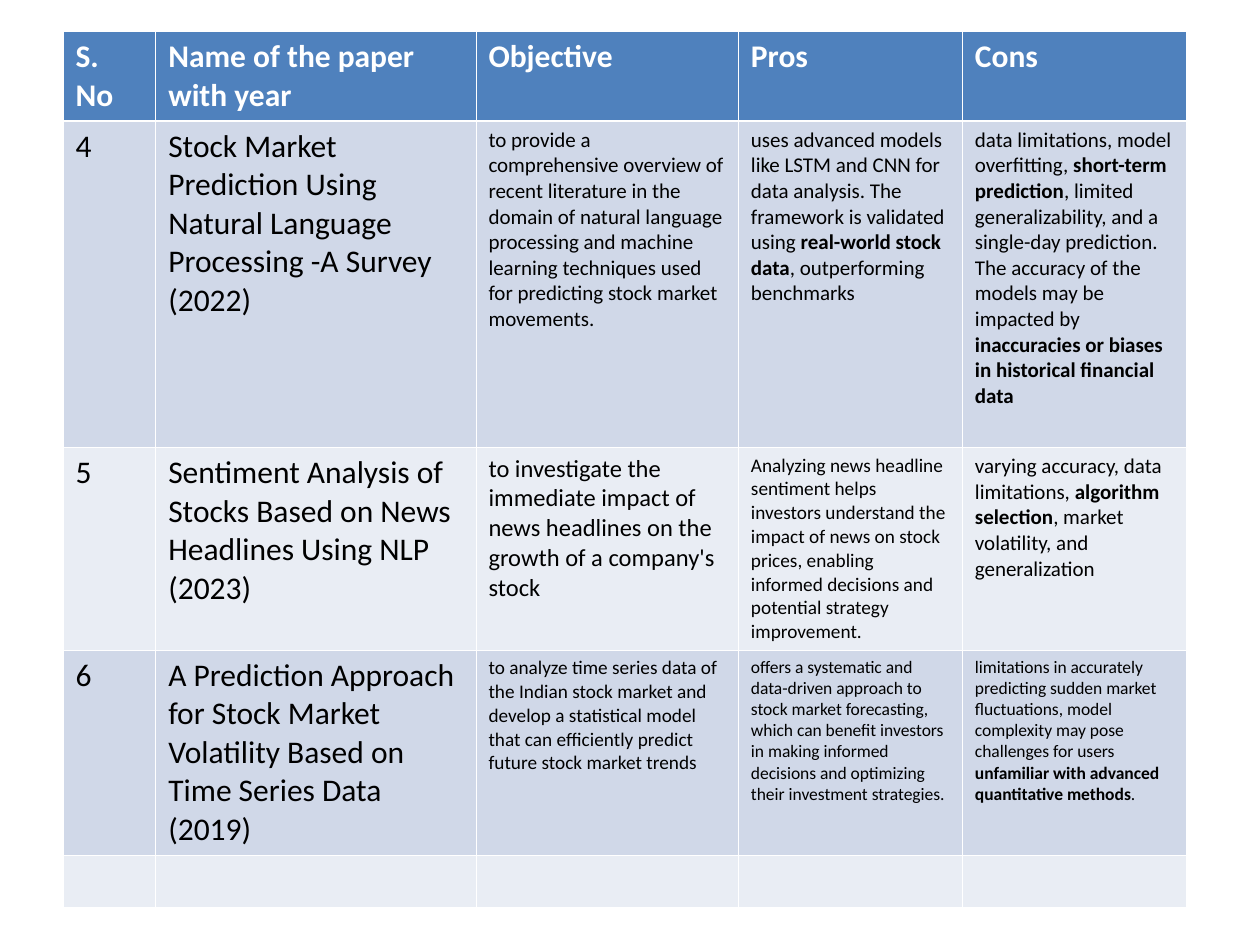
"""Build a slide with a literature survey table of stock prediction papers."""
from dataclasses import dataclass

from lxml.etree import SubElement
from pptx import Presentation
from pptx.dml.color import RGBColor as Rgb
from pptx.oxml.ns import qn
from pptx.util import Pt

COLORS = {
    "header": "4F81BD",
    "dark_band": "D0D8E8",
    "light_band": "E9EDF4",
    "border": "FFFFFF",
    "header_text": "FFFFFF",
    "body_text": "000000",
}
FONT = "Calibri"
BOLD_MARK = "**"
THIN, THICK = 0.45, 1.47
LEFT, TOP = 36, 18
COLUMN_WIDTHS = [53, 183, 150, 128, 128]


@dataclass
class SurveyRow:
    height: float
    fill: str
    texts: list[str]
    sizes: tuple[float, ...] = (18, 18, 18, 18, 18)
    header: bool = False


ROWS = [
    SurveyRow(51, "header", [
        "S. No", "Name of the paper with year", "Objective", "Pros", "Cons",
    ], header=True),
    SurveyRow(186.5, "dark_band", [
        "4",
        "Stock Market Prediction Using Natural Language Processing -A Survey (2022)",
        "to provide a comprehensive overview of recent literature in the domain of "
        "natural language processing and machine learning techniques used for "
        "predicting stock market movements.",
        "uses advanced models like LSTM and CNN for data analysis. The framework is "
        "validated using **real-world stock data**, outperforming benchmarks",
        "data limitations, model overfitting, **short-term prediction**, limited "
        "generalizability, and a single-day prediction. The accuracy of the models "
        "may be impacted by **inaccuracies or biases in historical financial data**",
    ], (18, 18, 12, 12, 12)),
    SurveyRow(115.75, "light_band", [
        "5",
        "Sentiment Analysis of Stocks Based on News Headlines Using NLP (2023)",
        "to investigate the immediate impact of news headlines on the growth of a "
        "company's stock",
        "Analyzing news headline sentiment helps investors understand the impact of "
        "news on stock prices, enabling informed decisions and potential strategy "
        "improvement.",
        "varying accuracy, data limitations, **algorithm selection**, market "
        "volatility, and generalization",
    ], (18, 18, 14, 11, 12)),
    SurveyRow(117.25, "dark_band", [
        "6",
        "A Prediction Approach for Stock Market Volatility Based on Time Series Data "
        "(2019)",
        "to analyze time series data of the Indian stock market and develop a "
        "statistical model that can efficiently predict future stock market trends",
        "offers a systematic and data-driven approach to stock market forecasting, "
        "which can benefit investors in making informed decisions and optimizing "
        "their investment strategies.",
        "limitations in accurately predicting sudden market fluctuations, model "
        "complexity may pose challenges for users **unfamiliar with advanced "
        "quantitative methods**.",
    ], (18, 18, 11, 10, 10)),
    SurveyRow(29.5, "light_band", [""] * len(COLUMN_WIDTHS)),
]


def draw_borders(cell, widths: dict[str, float]) -> None:
    properties = cell._tc.get_or_add_tcPr()
    for side, width in widths.items():
        line = SubElement(properties, qn(f"a:ln{side}"), w=str(int(Pt(width))))
        fill = SubElement(line, qn("a:solidFill"))
        SubElement(fill, qn("a:srgbClr"), val=COLORS["border"])


def write_text(cell, text: str, size: float, header: bool) -> None:
    para = cell.text_frame.paragraphs[0]
    para.font.size = Pt(size)
    color = COLORS["header_text" if header else "body_text"]
    for index, part in enumerate(text.split(BOLD_MARK)):
        if not part:
            continue
        span = para.add_run()
        span.text = part
        span.font.color.rgb = Rgb.from_string(color)
        font_format = {
            "name": FONT,
            "size": Pt(size),
            "bold": header or index % 2 == 1,
        }
        for name, value in font_format.items():
            setattr(span.font, name, value)


def draw_table(page, rows: list[SurveyRow]) -> None:
    frame = page.shapes.add_table(
        len(rows), len(COLUMN_WIDTHS), Pt(LEFT), Pt(TOP),
        Pt(sum(COLUMN_WIDTHS)), Pt(sum(row.height for row in rows)))
    table = frame.table
    for column, width in zip(table.columns, COLUMN_WIDTHS):
        column.width = Pt(width)
    for number, row in enumerate(rows):
        table.rows[number].height = Pt(row.height)
        below_header = number > 0 and rows[number - 1].header
        borders = {
            "L": THIN,
            "R": THIN,
            "T": THICK if below_header else THIN,
            "B": THICK if row.header else THIN,
        }
        for cell, text, size in zip(table.rows[number].cells, row.texts, row.sizes):
            draw_borders(cell, borders)
            cell.fill.solid()
            cell.fill.fore_color.rgb = Rgb.from_string(COLORS[row.fill])
            write_text(cell, text, size, row.header)


def main() -> None:
    deck = Presentation()
    deck.slide_width, deck.slide_height = Pt(720), Pt(540)
    blank_layout = deck.slide_layouts[6]
    page = deck.slides.add_slide(blank_layout)
    draw_table(page, ROWS)
    deck.save("out.pptx")


if __name__ == "__main__":
    main()
